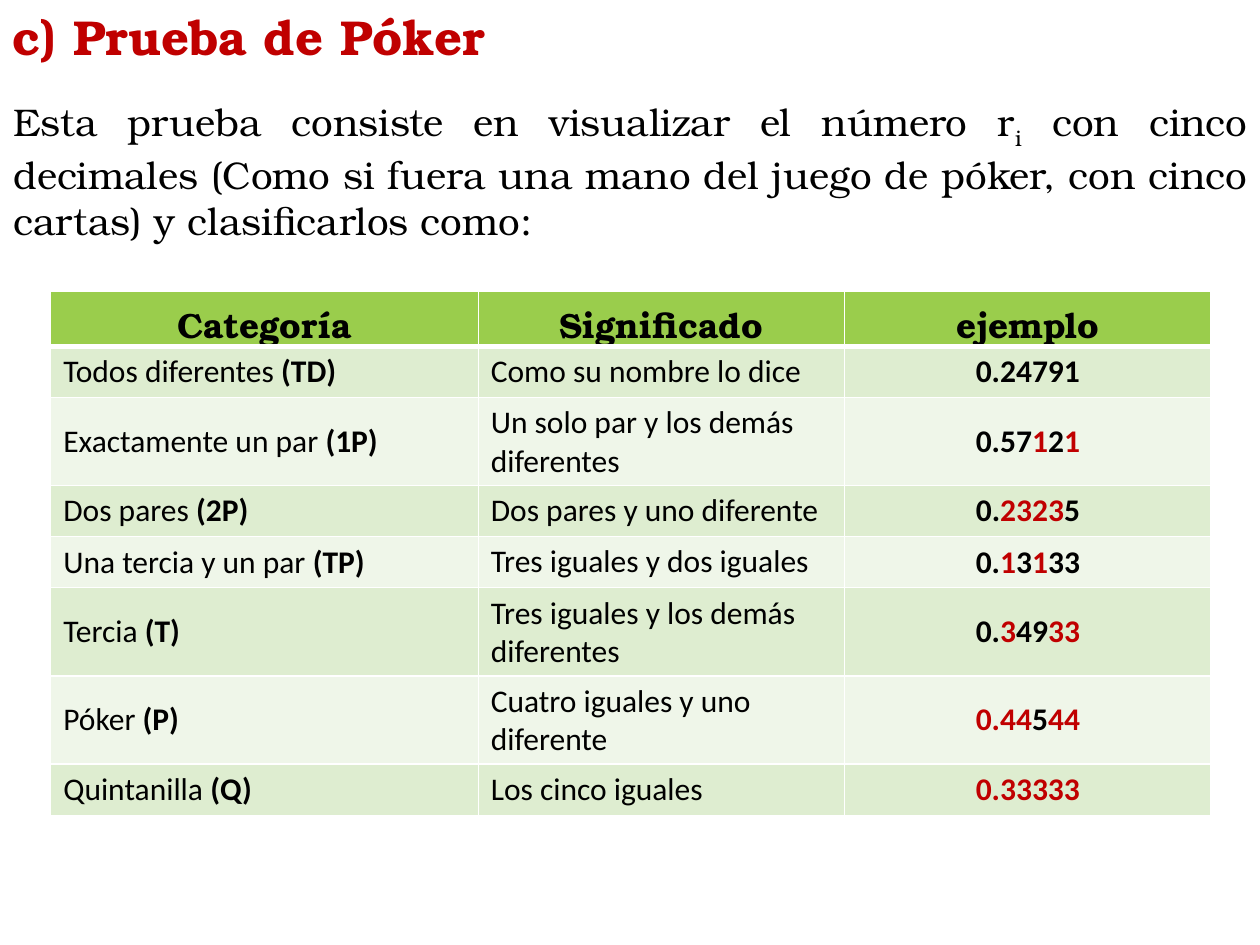
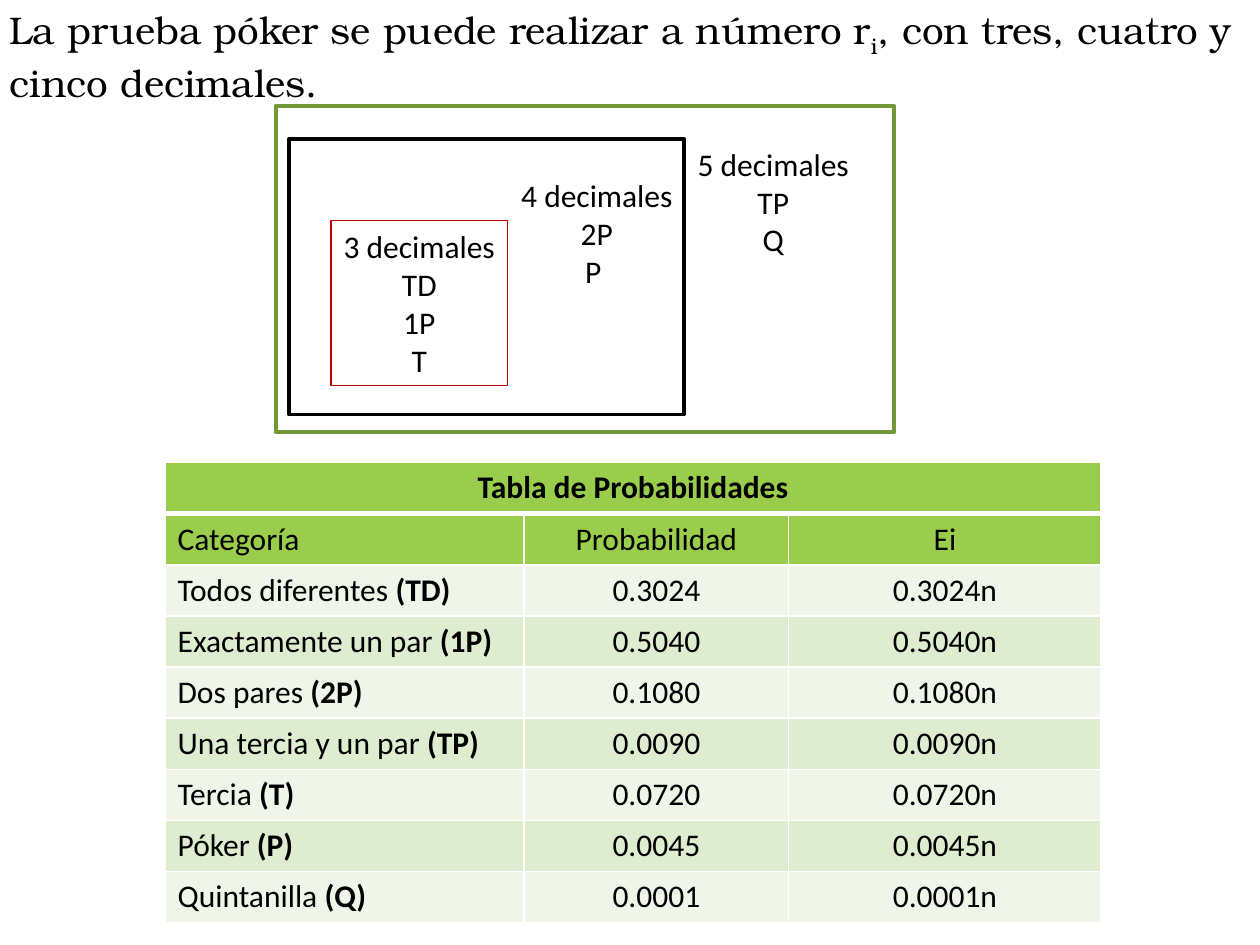
from dataclasses import dataclass

from lxml import etree
from pptx import Presentation
from pptx import util as u
from pptx.dml.color import RGBColor
from pptx.enum import shapes, text
from pptx.oxml import ns

LEFT, CENTER, JUSTIFY = text.PP_ALIGN.LEFT, text.PP_ALIGN.CENTER, text.PP_ALIGN.JUSTIFY


@dataclass(frozen=True)
class Theme:
    """Colours, fonts and type sizes of the presentation."""
    ink: str = "000000"
    accent: str = "C00000"
    paper: str = "FFFFFF"
    outer: str = "729838"
    header: str = "9ACD4C"
    bands: tuple = ("DEEDD0", "EFF6E9")
    serif: str = "TeX Gyre Bonum"
    sans: str = "Calibri"
    title: int = 28
    lead: int = 22
    heading: int = 20
    body: int = 18


@dataclass(frozen=True)
class Box:
    """Rectangle in points."""
    left: float
    top: float
    width: float
    height: float

    def inner(self, left, top, width, height):
        """Return a box placed relative to this one."""
        return Box(self.left + left, self.top + top, width, height)

    def lengths(self):
        """Return the four lengths for python-pptx."""
        return [u.Pt(v) for v in (self.left, self.top, self.width, self.height)]


THEME = Theme()
ROW_HEIGHT = 29.2
CATEGORIES = [
    ("Todos diferentes ", "(TD)"), ("Exactamente un par ", "(1P)"),
    ("Dos pares ", "(2P)"), ("Una tercia y un par ", "(TP)"),
    ("Tercia ", "(T)"), ("Póker ", "(P)"), ("Quintanilla ", "(Q)"),
]
MEANINGS = [
    "Como su nombre lo dice", "Un solo par y los demás diferentes",
    "Dos pares y uno diferente", "Tres iguales y dos iguales",
    "Tres iguales y los demás diferentes", "Cuatro iguales y uno diferente",
    "Los cinco iguales",
]
EXAMPLES = [
    ("0.24791",), ("0.57", "1", "2", "1"), ("0.", "2323", "5"),
    ("0.", "1", "3", "1", "33"), ("0.", "3", "49", "33"),
    ("", "0.44", "5", "44"), ("", "0.33333"),
]
PROBABILITIES = ["0.3024", "0.5040", "0.1080", "0.0090", "0.0720", "0.0045", "0.0001"]


def style(run, size=THEME.body, face=THEME.sans, color=THEME.ink, bold=False):
    """Format one run."""
    run.font.size, run.font.name, run.font.bold = u.Pt(size), face, bold
    run.font.color.rgb = RGBColor.from_string(color)


def write(paragraph, words, align=LEFT, **look):
    """Write one evenly formatted paragraph."""
    paragraph.text = words
    paragraph.alignment = align
    for run in paragraph.runs:
        style(run, **look)


def add_run(paragraph, words, **look):
    """Append a formatted run and return it."""
    run = paragraph.add_run()
    run.text = words
    style(run, **look)
    return run


def add_frame(slide, box, color, weight):
    """Draw an unfilled rectangle."""
    frame = slide.shapes.add_shape(shapes.MSO_SHAPE.RECTANGLE, *box.lengths())
    frame.shadow.inherit = False
    frame.fill.background()
    frame.line.color.rgb = RGBColor.from_string(color)
    frame.line.width = u.Pt(weight)
    return frame


def add_title(slide, box, words):
    """Place the red section title."""
    title = slide.shapes.add_textbox(*box.lengths()).text_frame
    write(title.paragraphs[0], words, size=THEME.title, face=THEME.serif,
          color=THEME.accent, bold=True)


def add_lead(slide, box, before, after, align=LEFT):
    """Place a serif paragraph with the subscript i between two passages."""
    lead = slide.shapes.add_textbox(*box.lengths()).text_frame
    lead.word_wrap = True
    paragraph = lead.paragraphs[0]
    paragraph.alignment = align
    look = dict(size=THEME.lead, face=THEME.serif)
    add_run(paragraph, before, **look)
    subscript = add_run(paragraph, "i", **look)
    subscript.font._element.set("baseline", "-25000")
    add_run(paragraph, after, **look)


def fill_cell(cell, color, bottom=1):
    """Give a cell its fill and white borders."""
    properties = cell._tc.get_or_add_tcPr()
    for side, weight in (("L", 1), ("R", 1), ("T", 1), ("B", bottom)):
        border = etree.SubElement(properties, ns.qn(f"a:ln{side}"), w=str(u.Pt(weight)))
        solid = etree.SubElement(border, ns.qn("a:solidFill"))
        etree.SubElement(solid, ns.qn("a:srgbClr"), val=THEME.paper)
    cell.fill.solid()
    cell.fill.fore_color.rgb = RGBColor.from_string(color)


def add_grid(slide, box, widths, fills):
    """Add a table with one fill per row and a heavy rule under the first."""
    grid = slide.shapes.add_table(len(fills), len(widths), *box.lengths()).table
    grid.first_row = grid.horz_banding = False
    for column, width in zip(grid.columns, widths):
        column.width = u.Pt(width)
    for index, (row, color) in enumerate(zip(grid.rows, fills)):
        row.height = u.Pt(ROW_HEIGHT)
        for cell in row.cells:
            fill_cell(cell, color, bottom=1 if index else 3)
    return grid


def write_cell(cell, words, align=LEFT, **look):
    """Write plain text in a cell."""
    write(cell.text_frame.paragraphs[0], words, align, **look)


def write_category(cell, category):
    """Write a category name followed by its bold abbreviation."""
    name, short = category
    paragraph = cell.text_frame.paragraphs[0]
    add_run(paragraph, name)
    add_run(paragraph, short, bold=True)
    cell.vertical_anchor = text.MSO_ANCHOR.MIDDLE


def write_example(cell, passages):
    """Write a number whose passages alternate between black and red."""
    paragraph = cell.text_frame.paragraphs[0]
    paragraph.alignment = CENTER
    for index, passage in enumerate(passages):
        if passage:
            add_run(paragraph, passage, bold=True,
                    color=THEME.accent if index % 2 else THEME.ink)
    cell.vertical_anchor = text.MSO_ANCHOR.MIDDLE


def add_category_table(slide, box):
    """Add the table of categories, meanings and examples."""
    bands = [THEME.bands[i % 2] for i in range(len(CATEGORIES))]
    grid = add_grid(slide, box, (244.3, 209.4, 209.4), [THEME.header, *bands])
    for column, heading in enumerate(("Categoría", "Significado", "ejemplo")):
        write_cell(grid.cell(0, column), heading, CENTER,
                   size=THEME.heading, face=THEME.serif, bold=True)
    for row, (category, meaning, example) in enumerate(
            zip(CATEGORIES, MEANINGS, EXAMPLES), start=1):
        write_category(grid.cell(row, 0), category)
        write_cell(grid.cell(row, 1), meaning)
        write_example(grid.cell(row, 2), example)


def add_probability_table(slide, box):
    """Add the table of probabilities and expected frequencies."""
    bands = [THEME.bands[(i + 1) % 2] for i in range(len(CATEGORIES))]
    grid = add_grid(slide, box, (205.2, 151.2, 178.6), [THEME.header] * 2 + bands)
    grid.cell(0, 0).merge(grid.cell(0, 2))
    write_cell(grid.cell(0, 0), "Tabla de Probabilidades", CENTER, bold=True)
    for column, heading in enumerate(("Categoría", "Probabilidad", "Ei")):
        write_cell(grid.cell(1, column), heading, CENTER if column else LEFT)
    for row, (category, probability) in enumerate(zip(CATEGORIES, PROBABILITIES), start=2):
        write_category(grid.cell(row, 0), category)
        write_cell(grid.cell(row, 1), probability, CENTER)
        write_cell(grid.cell(row, 2), f"{probability}n", CENTER)


def write_hands(holder, lines):
    """Write centred lines in a shape that does not wrap."""
    hands = holder.text_frame
    hands.word_wrap = False
    hands.text = "\n".join(lines)
    for paragraph, line in zip(hands.paragraphs, lines):
        write(paragraph, line, CENTER)


def add_nested_hands(slide, box):
    """Draw the nested sets of hands for three, four and five decimals."""
    size = (100.8, 94.3)
    three = add_frame(slide, box.inner(31.7, 65.5, *size), THEME.accent, 0.75)
    four = slide.shapes.add_textbox(*box.inner(133.2, 36.7, *size).lengths())
    five = slide.shapes.add_textbox(*box.inner(234, 18.7, *size).lengths())
    write_hands(three, ("3 decimales", "TD", "1P", "T"))
    write_hands(four, ("4 decimales", "2P", "P "))
    write_hands(five, ("5 decimales", "TP", "Q"))
    add_frame(slide, box.inner(7.9, 18.7, 225.4, 157.7), THEME.ink, 2.25)
    add_frame(slide, box, THEME.outer, 2.25)


def build_category_slide(slide, page):
    """Build the slide that introduces the test."""
    add_title(slide, page.inner(0, 0, 288, 41), "c) Prueba de Póker")
    add_lead(slide, page.inner(0.5, 52.5, 719.5, 114),
             "Esta prueba consiste en visualizar el número r",
             " con cinco decimales (Como si fuera una mano del juego de póker, "
             "con cinco cartas) y clasificarlos como:", JUSTIFY)
    add_category_table(slide, page.inner(29, 166.6, 663.1, 8 * ROW_HEIGHT))


def build_probability_slide(slide, page):
    """Build the slide with the nested hands and their probabilities."""
    add_lead(slide, page.inner(-1.5, 0, 721.5, 60.5),
             "La prueba póker se puede realizar a número r",
             ", con tres, cuatro y cinco decimales.")
    add_nested_hands(slide, page.inner(157.5, 60.5, 353.5, 186.5))
    add_probability_table(slide, page.inner(94.3, 264.4, 535, 9 * ROW_HEIGHT))


def main():
    """Build and save the presentation."""
    deck = Presentation()
    page = Box(0, 0, 720, 540)
    deck.slide_width, deck.slide_height = u.Pt(page.width), u.Pt(page.height)
    for build in (build_category_slide, build_probability_slide):
        build(deck.slides.add_slide(deck.slide_layouts[6]), page)
    deck.save("out.pptx")


if __name__ == "__main__":
    main()
